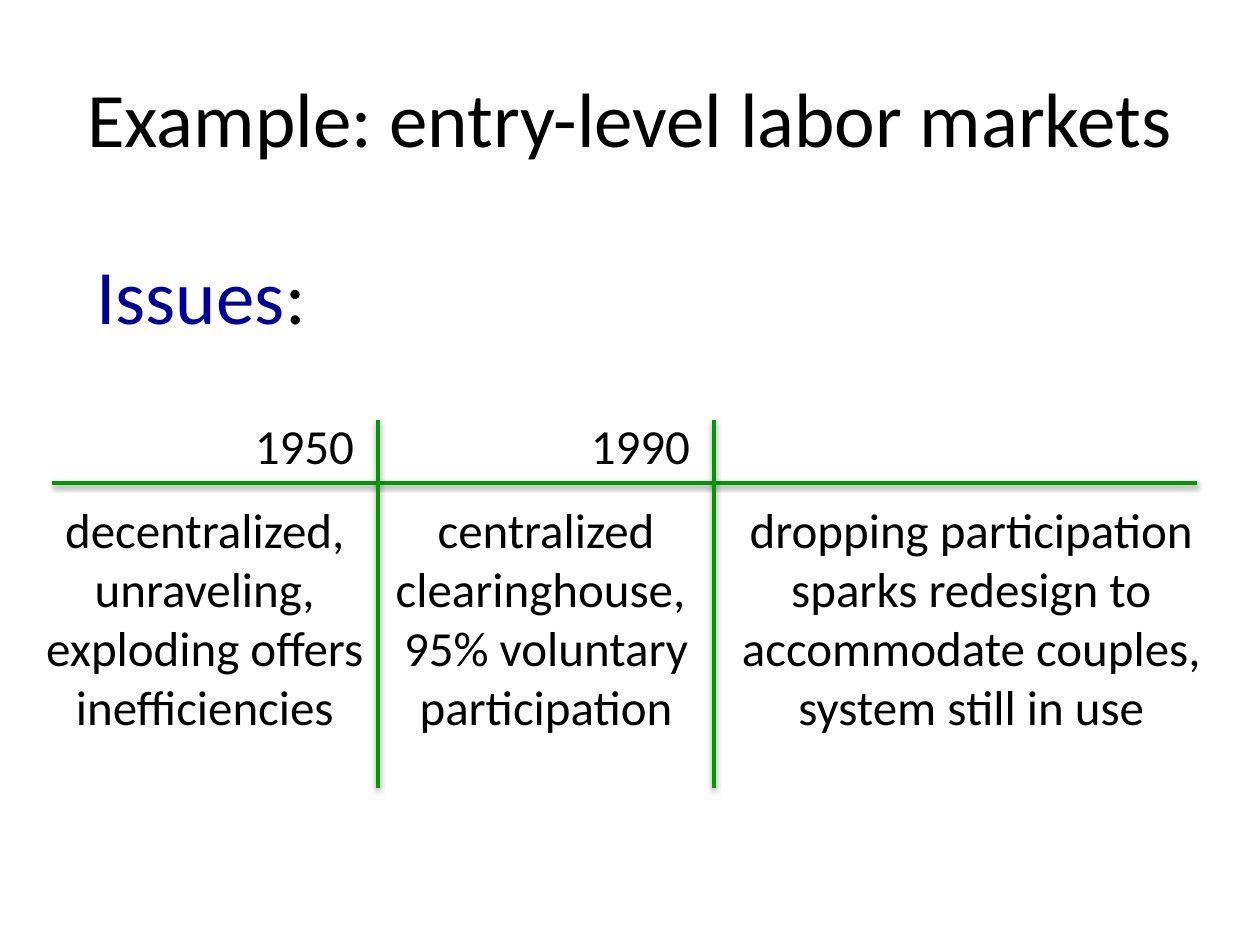
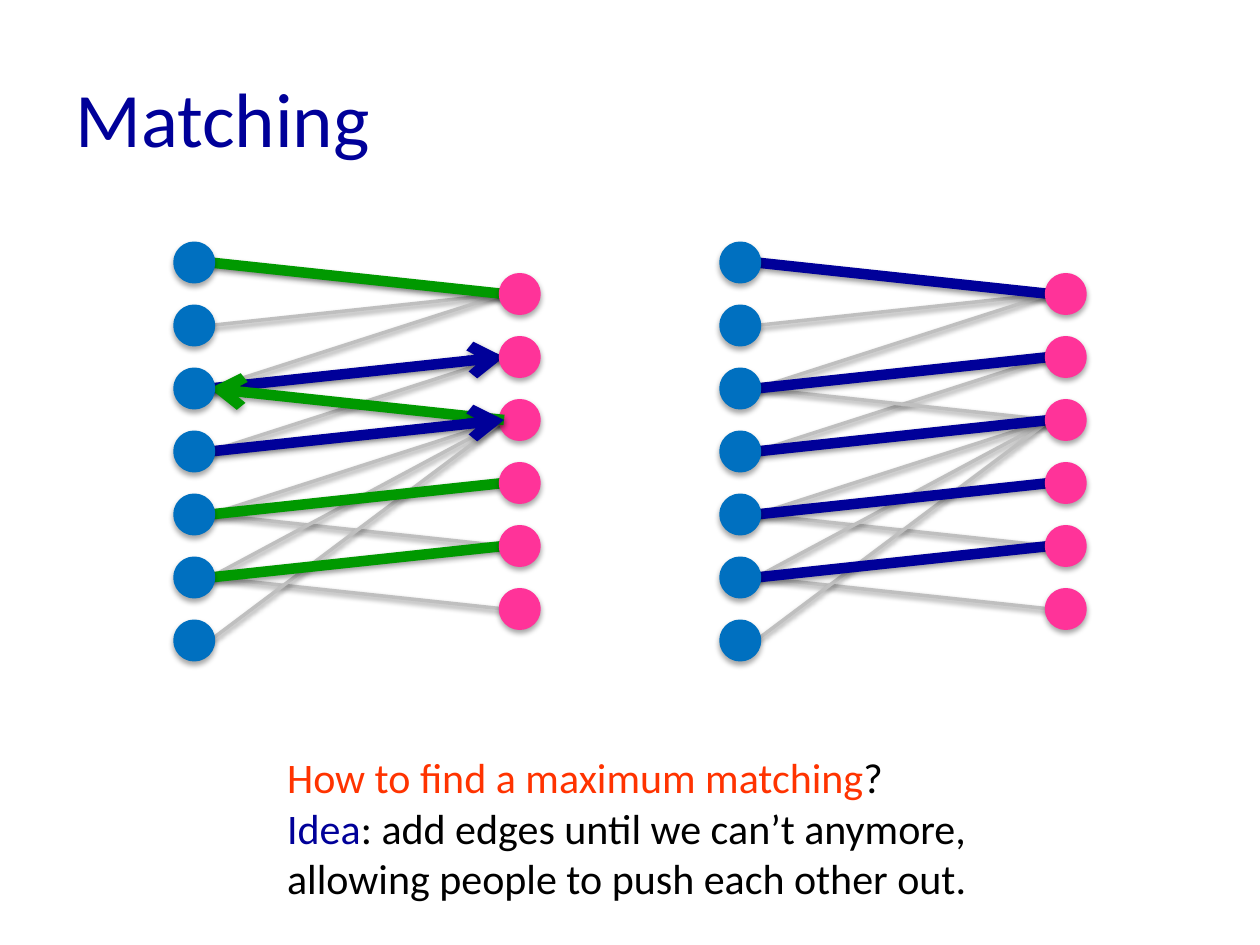
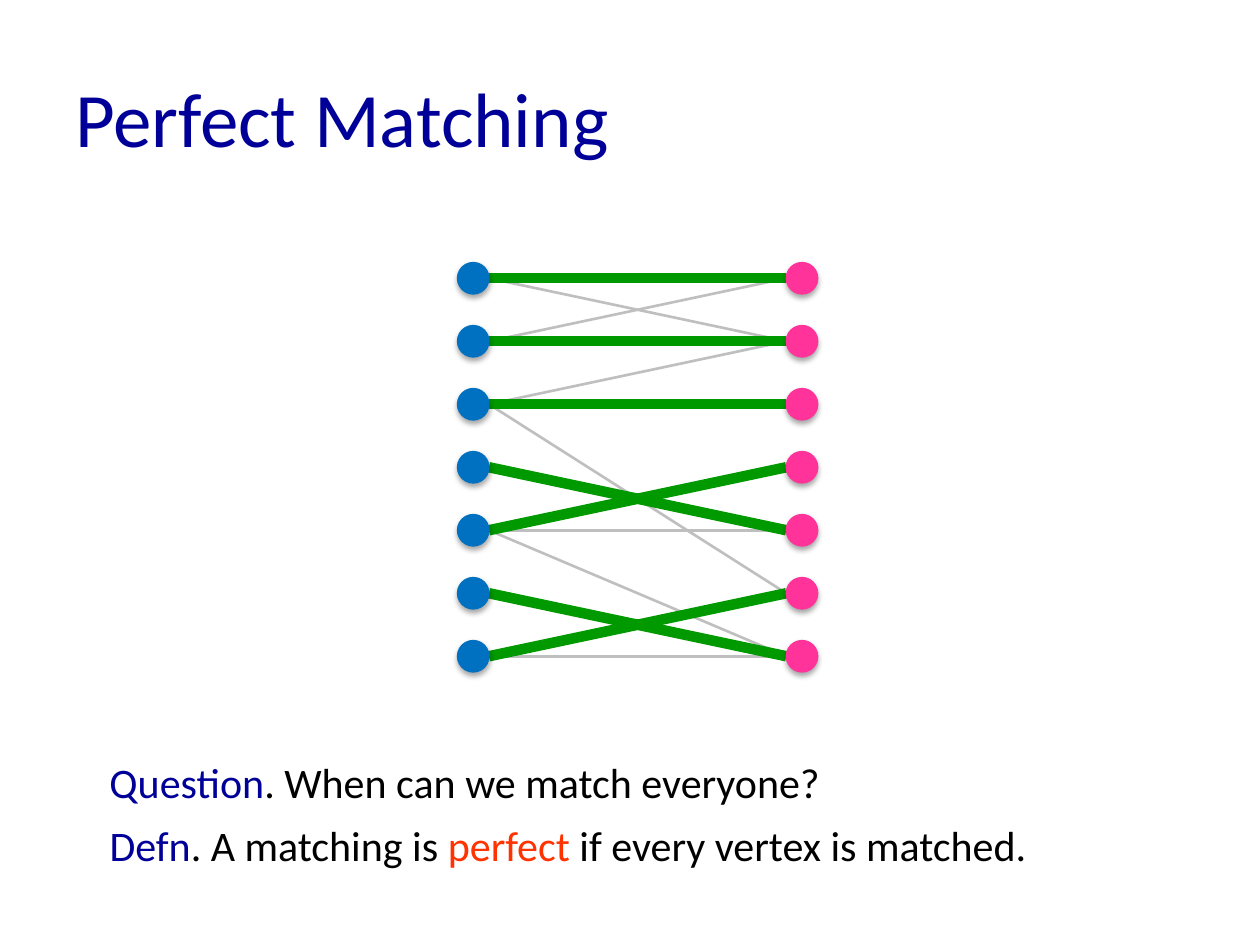
from lxml import etree
from pptx import Presentation
from pptx.dml.color import RGBColor
from pptx.enum.shapes import MSO_CONNECTOR, MSO_SHAPE
from pptx.enum.text import MSO_ANCHOR, MSO_AUTO_SIZE, PP_ALIGN
from pptx.oxml.ns import qn
from pptx.util import Pt

LEFT, CENTER = PP_ALIGN.LEFT, PP_ALIGN.CENTER
TOP, MIDDLE = MSO_ANCHOR.TOP, MSO_ANCHOR.MIDDLE
FIT, FIXED = MSO_AUTO_SIZE.SHAPE_TO_FIT_TEXT, MSO_AUTO_SIZE.NONE
STRAIGHT, OVAL = MSO_CONNECTOR.STRAIGHT, MSO_SHAPE.OVAL

BLACK = RGBColor(0x00, 0x00, 0x00)
NAVY = RGBColor(0x00, 0x00, 0x99)
GREEN = RGBColor(0x00, 0x99, 0x00)
RED = RGBColor(0xFF, 0x33, 0x00)
GRAY = RGBColor(0xBF, 0xBF, 0xBF)
BLUE = RGBColor(0x00, 0x70, 0xC0)
PINK = RGBColor(0xFF, 0x33, 0x99)

FONT = "Calibri"
TITLE_BOX = (36, 21.6, 648, 90)
DOT, PITCH = 18, 36
LINE_SHADOW, DOT_SHADOW = (1.57, 38000), (1.81, 35000)

ISSUES = [[("Issues", NAVY), (":", BLACK)]]
RULES = [((30, 276), (684, 276)), ((216, 240), (216, 450)), ((408, 240), (408, 450))]
YEARS = [("1950", 138), ("1990", 330)]
PERIODS = [
    (18, 198, ["decentralized, unraveling,", "exploding offers inefficiencies"]),
    (216, 192, ["centralized clearinghouse, \n95% voluntary participation"]),
    (408, 294, ["dropping participation sparks redesign to accommodate couples, "
                "system still in use"]),
]

IDEA = [[("How to find a maximum matching", RED), ("?\n", BLACK), ("Idea", NAVY),
         (": add edges until we can’t anymore, \nallowing people to push each other out.",
          BLACK)]]
QUESTION = [[("Question", NAVY), (". When can we match everyone?", BLACK)]]
DEFINITION = [[("Defn", NAVY), (". A matching is ", BLACK), ("perfect", RED),
               (" if every vertex is matched.", BLACK)]]

OPTIONS = [(1, 0), (2, 0), (4, 2), (5, 5), (3, 1), (4, 4), (5, 2), (6, 2)]
AUGMENTING = {
    "x": (120, 288), "y": (150, 168), "counts": (7, 6),
    "dot_line": 6, "edge_shadow": LINE_SHADOW,
    "under": [
        (GRAY, 2, None, OPTIONS),
        (GRAY, 1.5, None, [(0, 0), (2, 1), (3, 2)]),
        (GREEN, 6, None, [(0, 0), (4, 3), (5, 4)]),
        (NAVY, 6, "a:tailEnd", [(2, 1)]),
    ],
    "over": [
        (GREEN, 6, "a:headEnd", [(2, 2)]),
        (NAVY, 6, "a:tailEnd", [(3, 2)]),
    ],
}
MAXIMUM = AUGMENTING | {
    "x": (432, 600),
    "under": [
        (GRAY, 2, None, OPTIONS + [(2, 2)]),
        (NAVY, 6, None, [(0, 0), (2, 1), (3, 2), (4, 3), (5, 4)]),
    ],
    "over": [],
}
PERFECT = {
    "x": (279.4, 449.3), "y": (159, 159), "counts": (7, 7),
    "dot_line": 0.75, "edge_shadow": None,
    "under": [
        (GRAY, 1.5, None, [(0, 1), (3, 4), (4, 4), (1, 0), (4, 6), (2, 4 + 1), (6, 6), (2, 1)]),
        (GREEN, 6, None, [(0, 0), (1, 1), (2, 2), (3, 4), (4, 3), (5, 6), (6, 5)]),
    ],
    "over": [],
}


def add_text(s, box, paragraphs, size, align=LEFT, wrap=False, anchor=TOP, fit=FIT):
    tf = s.shapes.add_textbox(*map(Pt, box)).text_frame
    for name, value in {"word_wrap": wrap, "vertical_anchor": anchor, "auto_size": fit}.items():
        setattr(tf, name, value)
    for i, runs in enumerate(paragraphs):
        p = tf.add_paragraph() if i else tf.paragraphs[0]
        p.alignment = align
        for text, color in runs:
            for j, piece in enumerate(text.split("\n")):
                if j:
                    p.add_line_break()
                if piece:
                    r = p.add_run()
                    r.text = piece
                    for name, value in {"name": FONT, "size": Pt(size)}.items():
                        setattr(r.font, name, value)
                    r.font.color.rgb = color


def set_shadow(sp, shadow):
    effects = etree.SubElement(sp.element.spPr, qn("a:effectLst"))
    if shadow:
        distance, alpha = shadow
        outer = etree.SubElement(effects, qn("a:outerShdw"), blurRad=str(Pt(3.15)),
                                 dist=str(Pt(distance)), dir="5400000", rotWithShape="0")
        color = etree.SubElement(outer, qn("a:srgbClr"), val="000000")
        etree.SubElement(color, qn("a:alpha"), val=str(alpha))


def add_line(s, start, end, color, width, shadow, arrow=None):
    line = s.shapes.add_connector(STRAIGHT, *map(Pt, start + end))
    line.line.color.rgb = color
    line.line.width = Pt(width)
    if arrow:
        etree.SubElement(line.element.spPr.find(qn("a:ln")), qn(arrow), type="arrow")
    set_shadow(line, shadow)


def add_dots(s, x, y, count, color, width):
    for i in range(count):
        dot = s.shapes.add_shape(OVAL, Pt(x), Pt(y - DOT / 2 + i * PITCH), Pt(DOT), Pt(DOT))
        dot.fill.solid()
        dot.fill.fore_color.rgb = color
        dot.line.color.rgb = color
        dot.line.width = Pt(width)
        set_shadow(dot, DOT_SHADOW)


def add_graph(s, graph):
    (x1, x2), (y1, y2), (blues, pinks) = graph["x"], graph["y"], graph["counts"]

    def add_edges(layers):
        for color, width, arrow, pairs in layers:
            for i, j in pairs:
                add_line(s, (x1, y1 + i * PITCH), (x2, y2 + j * PITCH),
                         color, width, graph["edge_shadow"], arrow)

    add_edges(graph["under"])
    add_dots(s, x2, y2, pinks, PINK, graph["dot_line"])
    add_edges(graph["over"])
    add_dots(s, x1 - DOT, y1, blues, BLUE, graph["dot_line"])


def add_slide(prs, title, color=NAVY, align=LEFT):
    s = prs.slides.add_slide(prs.slide_layouts[6])
    add_text(s, TITLE_BOX, [[(title, color)]], 44, align, True, MIDDLE, FIXED)
    return s


def main():
    prs = Presentation()
    prs.slide_width, prs.slide_height = Pt(720), Pt(540)

    s = add_slide(prs, "Example: entry-level labor markets", BLACK, CENTER)
    for start, end in RULES:
        add_line(s, start, end, GREEN, 2, LINE_SHADOW)
    for year, x in YEARS:
        add_text(s, (x, 234, 72, 41), [[(year, BLACK)]], 28, CENTER)
    for x, width, lines in PERIODS:
        add_text(s, (x, 282, width, 143), [[(line, BLACK)] for line in lines], 28, CENTER, True)
    add_text(s, (48, 138, 135, 60.5), ISSUES, 44)

    s = add_slide(prs, "Matching")
    for graph in (MAXIMUM, AUGMENTING):
        add_graph(s, graph)
    add_text(s, (157, 426, 412, 94.5), IDEA, 24)

    s = add_slide(prs, "Perfect Matching")
    add_graph(s, PERFECT)
    add_text(s, (55.5, 428.5, 424, 36), QUESTION, 24)
    add_text(s, (55.5, 464.5, 543.5, 36), DEFINITION, 24)

    prs.save("out.pptx")


if __name__ == "__main__":
    main()
